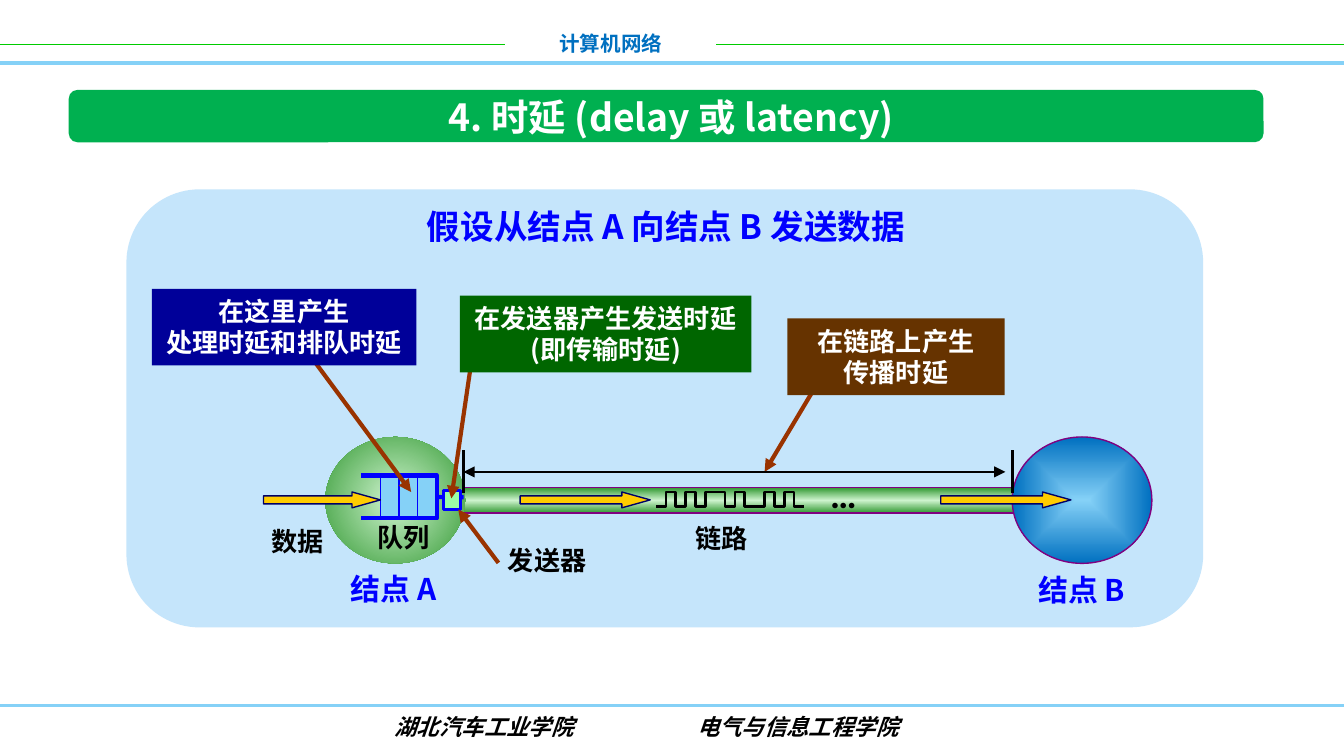
from dataclasses import dataclass
from itertools import accumulate
from typing import Optional

from lxml.etree import SubElement
from pptx import Presentation
from pptx.dml.color import RGBColor
from pptx.enum.shapes import MSO_CONNECTOR, MSO_SHAPE
from pptx.enum.text import MSO_ANCHOR, PP_ALIGN
from pptx.oxml import parse_xml
from pptx.oxml.ns import nsdecls, qn
from pptx.util import Cm, Pt

COLORS = {
    "white": "FFFFFF", "black": "000000", "blue": "0000FF", "header": "0070C0",
    "rule_green": "00CC00", "sky": "85D1F7", "banner": "00B050", "panel": "C5E5FB",
    "link": "339933", "mint": "CDF3CD", "purple": "800080", "sender": "9AFEA6",
    "arrow": "FFCC00", "navy": "000066", "pointer": "993300",
    "queue_note": "000099", "sender_note": "006600", "link_note": "663300",
}
CJK_FONT = "Noto Sans CJK SC"
RADIAL = '<a:path path="{}"><a:fillToRect l="50000" t="50000" r="50000" b="50000"/></a:path>'
VERTICAL = '<a:lin ang="5400000" scaled="0"/>'


@dataclass
class Box:
    left: float
    top: float
    width: float
    height: float

    def lengths(self) -> tuple:
        return Cm(self.left), Cm(self.top), Cm(self.width), Cm(self.height)


@dataclass
class Label:
    box: Box
    text: str
    size: float = 14
    color: str = "black"
    font: str = CJK_FONT
    centered: bool = False
    wrap: bool = False
    italic: bool = False
    anchor: MSO_ANCHOR = MSO_ANCHOR.TOP
    spacing: Optional[float] = None


@dataclass
class Line:
    start: tuple
    end: tuple
    color: str
    width: float
    ends: tuple = ()


@dataclass
class Callout:
    box: Box
    fill: str
    text: str
    pointer: Line


def color_of(name: str) -> RGBColor:
    return RGBColor.from_string(COLORS[name])


def write_text(frame, label: Label) -> None:
    frame.word_wrap = label.wrap
    frame.vertical_anchor = label.anchor
    for index, content in enumerate(label.text.split("\n")):
        paragraph = frame.add_paragraph() if index else frame.paragraphs[0]
        paragraph.alignment = PP_ALIGN.CENTER if label.centered else PP_ALIGN.LEFT
        if label.spacing:
            paragraph.line_spacing = Pt(label.spacing)
        run = paragraph.add_run()
        run.text = content
        run.font.name = label.font
        run.font.size = Pt(label.size)
        run.font.bold = True
        run.font.italic = label.italic
        run.font.color.rgb = color_of(label.color)
        SubElement(run.font._element, qn("a:ea"), typeface=CJK_FONT)


def add_label(slide, label: Label) -> None:
    write_text(slide.shapes.add_textbox(*label.box.lengths()).text_frame, label)


def style_shape(shape, fill: Optional[str], line: Optional[str], width: float) -> None:
    shape.shadow.inherit = False
    if fill:
        shape.fill.solid()
        shape.fill.fore_color.rgb = color_of(fill)
    else:
        shape.fill.background()
    if line:
        shape.line.color.rgb = color_of(line)
        shape.line.width = Pt(width)
    else:
        shape.line.fill.background()


def add_box(slide, kind, box: Box, fill: Optional[str], line: Optional[str] = None, width: float = 0.75):
    shape = slide.shapes.add_shape(kind, *box.lengths())
    style_shape(shape, fill, line, width)
    return shape


def set_gradient(shape, stops: list, direction: str) -> None:
    stop_xml = "".join(
        f'<a:gs pos="{position * 1000}"><a:srgbClr val="{COLORS[name]}"/></a:gs>' for position, name in stops)
    gradient = parse_xml(
        f'<a:gradFill rotWithShape="1" {nsdecls("a")}><a:gsLst>{stop_xml}</a:gsLst>{direction}</a:gradFill>')
    properties = shape.element.spPr
    properties.replace(properties.find(qn("a:noFill")), gradient)


def add_line(slide, line: Line):
    connector = slide.shapes.add_connector(
        MSO_CONNECTOR.STRAIGHT, *(Cm(value) for value in line.start + line.end))
    connector.line.color.rgb = color_of(line.color)
    connector.line.width = Pt(line.width)
    properties = connector.element.spPr
    for end in line.ends:
        SubElement(properties.find(qn("a:ln")), qn(f"a:{end}"), type="triangle")
    SubElement(properties, qn("a:effectLst"))
    return connector


def add_outline(slide, points: list, color: str, width: float) -> None:
    corners = [(Cm(x), Cm(y)) for x, y in points]
    builder = slide.shapes.build_freeform(*corners[0])
    builder.add_line_segments(corners[1:], close=False)
    style_shape(builder.convert_to_shape(), None, color, width)


def add_callout(slide, callout: Callout) -> None:
    add_line(slide, callout.pointer)
    shape = add_box(slide, MSO_SHAPE.RECTANGLE, callout.box, callout.fill)
    write_text(shape.text_frame, Label(callout.box, callout.text, color="white", centered=True))


def pointer(start: tuple, end: tuple) -> Line:
    return Line(start, end, "pointer", 2.25, ("tailEnd",))


def add_frame(slide) -> None:
    """Draw the header, footer and title banner."""
    for start, end, height, color, width in (
            (0, 9.55, 0.84, "rule_green", 1), (13.54, 25.4, 0.84, "rule_green", 1),
            (0, 25.4, 13.34, "sky", 1.5), (0, 25.4, 1.19, "sky", 2)):
        add_line(slide, Line((start, height), (end, height), color, width))
    add_label(slide, Label(Box(9.55, 0.46, 3.99, 0.74), "计算机网络", 11, "header", centered=True, wrap=True))
    for left, text in ((6.45, "湖北汽车工业学院"), (12.38, "电气与信息工程学院")):
        add_label(slide, Label(Box(left, 13.36, 5.4, 0.76), text, 12, font="Arial", centered=True, italic=True))
    add_box(slide, MSO_SHAPE.ROUNDED_RECTANGLE, Box(1.3, 1.7, 22.58, 0.99), "banner")
    add_label(slide, Label(Box(3.48, 1.7, 18.42, 0.99), "4. 时延 (delay 或 latency)", 20, "white",
                           centered=True, wrap=True, anchor=MSO_ANCHOR.MIDDLE))


def add_network(slide) -> None:
    """Draw the two nodes, the link, the queue and the data arrows."""
    add_box(slide, MSO_SHAPE.ROUNDED_RECTANGLE, Box(2.39, 3.58, 20.35, 8.28), "panel")
    link = add_box(slide, MSO_SHAPE.RECTANGLE, Box(8.59, 9.22, 10.69, 0.48), None, "purple")
    set_gradient(link, [(0, "link"), (50, "mint"), (100, "link")], VERTICAL)
    node_a = add_box(slide, MSO_SHAPE.OVAL, Box(6.15, 8.26, 2.64, 2.39), None)
    set_gradient(node_a, [(2, "mint"), (100, "link")], RADIAL.format("circle"))
    node_b = add_box(slide, MSO_SHAPE.OVAL, Box(19.13, 8.26, 2.64, 2.39), None, "purple")
    set_gradient(node_b, [(0, "sky"), (100, "header")], RADIAL.format("shape"))

    queue = add_box(slide, MSO_SHAPE.RECTANGLE, Box(7.19, 8.99, 1.04, 0.81), "sky", "blue")
    add_outline(slide, [(6.83, 8.99), (8.26, 8.99), (8.26, 9.8), (6.83, 9.8)], "blue", 2.25)
    for slot in range(3):
        x = 7.19 + 0.35 * slot
        add_line(slide, Line((x, 8.99), (x, 9.8), "blue", 0.75))
    output = add_line(slide, Line((8.23, 9.4), (8.76, 9.4), "blue", 2.25))
    output.begin_connect(queue, 3)
    add_box(slide, MSO_SHAPE.RECTANGLE, Box(8.38, 9.27, 0.33, 0.36), "sender", "blue", 1.5)

    for left, width in ((9.83, 2.46), (4.98, 2.21), (17.78, 2.46)):
        arrow = add_box(slide, MSO_SHAPE.RIGHT_ARROW, Box(left, 9.3, width, 0.3), "arrow", "navy")
        arrow.adjustments[1] = 1.79


def add_signal(slide) -> None:
    """Draw the span of the link and the square wave on it."""
    for x in (8.76, 19.13):
        add_line(slide, Line((x, 8.51), (x, 9.32), "black", 1.5))
    add_line(slide, Line((8.76, 8.92), (19, 8.92), "black", 1.5, ("headEnd", "tailEnd")))
    pulses = (1, 1, 1, 1, 1, 2, 1, 1, 2, 1, 1, 1, 1)
    edges = [12.4 + 0.19 * 0.98 * step for step in accumulate(pulses, initial=0)]
    wave = [(x, 9.3 if index % 2 else 9.58)
            for index in range(len(pulses)) for x in edges[index:index + 2]]
    add_outline(slide, wave, "black", 1.5)


def main() -> None:
    presentation = Presentation()
    presentation.slide_width, presentation.slide_height = Cm(25.4), Cm(14.29)
    slide = presentation.slides.add_slide(presentation.slide_layouts[6])
    add_frame(slide)
    add_network(slide)
    for callout in (
            Callout(Box(14.88, 6.02, 4.11, 1.45), "link_note", "在链路上产生\n传播时延",
                    pointer((15.44, 7.26), (14.45, 8.92))),
            Callout(Box(8.69, 5.59, 5.51, 1.45), "sender_note", "在发送器产生发送时延\n(即传输时延)",
                    pointer((8.92, 6.76), (8.53, 9.42))),
            Callout(Box(2.87, 5.46, 5, 1.45), "queue_note", "在这里产生\n处理时延和排队时延",
                    pointer((5.89, 6.76), (7.77, 9.3)))):
        add_callout(slide, callout)
    add_line(slide, pointer((9.42, 10.64), (8.66, 9.63)))
    for label in (
            Label(Box(15.44, 8.79, 1.04, 0.97), "…", 20, font="Calibri"),
            Label(Box(9.35, 10.16, 2.01, 0.86), "发送器"),
            Label(Box(6.88, 9.73, 1.55, 0.89), "队列", font="Calibri"),
            Label(Box(4.88, 9.8, 1.55, 0.89), "数据"),
            Label(Box(12.9, 9.75, 1.55, 0.89), "链路"),
            Label(Box(19.38, 10.69, 2.21, 0.94), "结点 B", 16, "blue", wrap=True),
            Label(Box(6.38, 10.67, 2.26, 0.94), "结点 A", 16, "blue"),
            Label(Box(6.55, 3.58, 12.07, 1.22), "假设从结点 A 向结点 B 发送数据", 18, "blue",
                  centered=True, wrap=True, spacing=27)):
        add_label(slide, label)
    add_signal(slide)
    presentation.save("out.pptx")


if __name__ == "__main__":
    main()
